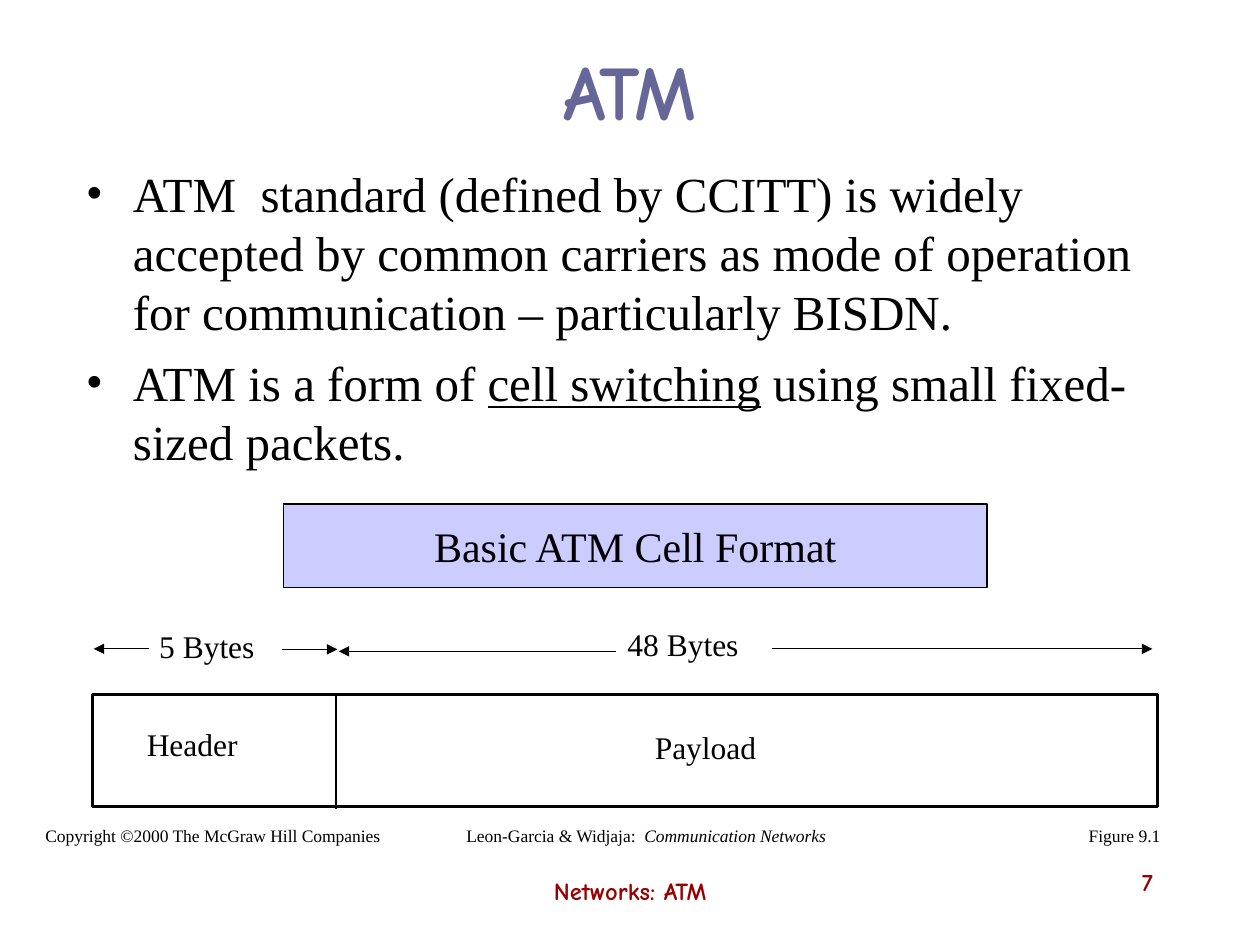
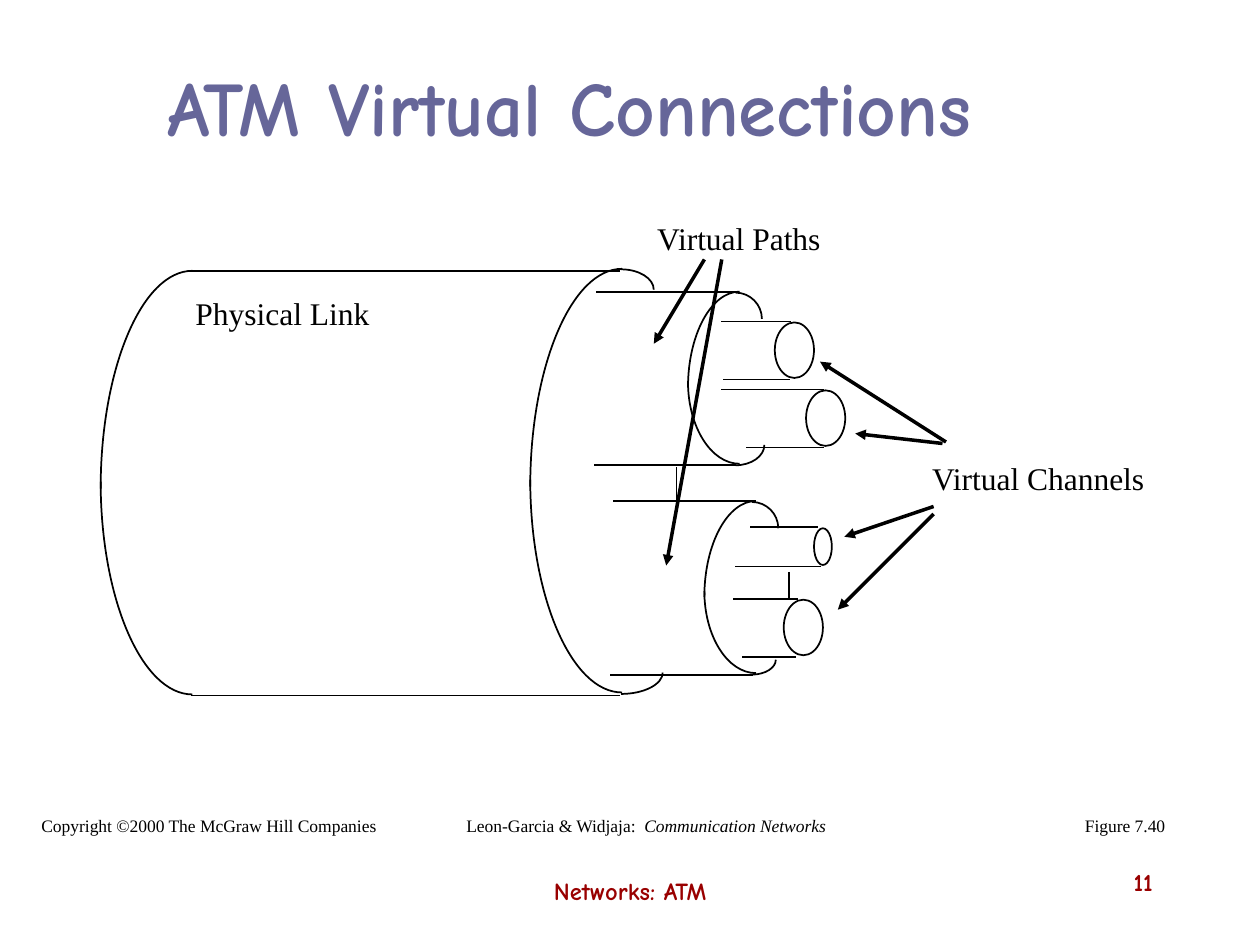
from lxml import etree
from pptx import Presentation
from pptx.dml.color import RGBColor
from pptx.enum.shapes import MSO_CONNECTOR, MSO_SHAPE
from pptx.enum.text import MSO_ANCHOR, PP_ALIGN
from pptx.oxml.ns import qn
from pptx.util import Cm, Pt

STRAIGHT = MSO_CONNECTOR.STRAIGHT
RECTANGLE, OVAL = MSO_SHAPE.RECTANGLE, MSO_SHAPE.OVAL
LEFT, CENTER, RIGHT = PP_ALIGN.LEFT, PP_ALIGN.CENTER, PP_ALIGN.RIGHT
TOP, MIDDLE = MSO_ANCHOR.TOP, MSO_ANCHOR.MIDDLE

BLACK, TITLE_BLUE, FOOTER_RED, BANNER_FILL = "000000", "666699", "990000", "CCCCFF"
SERIF, COMIC = "Times New Roman", "Comic Neue"
PADDING = (0.25, 0.13)
CURVE_PULL = 0.55  # Bezier handle length for a quarter ellipse


def color(hex_string):
    return RGBColor.from_string(hex_string)


def shifted(origin, x, y, *size):
    """Move a point or box from region coordinates to slide coordinates."""
    return (origin[0] + x, origin[1] + y, *size)


# Shared drawing helpers
def add_run(paragraph, text, size=18, font=SERIF, hex_string=BLACK,
            bold=False, italic=False, underline=False):
    run = paragraph.add_run()
    run.text = text
    run.font.size = Pt(size)
    run.font.name = font
    run.font.color.rgb = color(hex_string)
    run.font.bold, run.font.italic, run.font.underline = bold, italic, underline


def set_frame(frame, anchor=TOP, padding=PADDING, wrap=True):
    frame.word_wrap = wrap
    frame.vertical_anchor = anchor
    frame.margin_left = frame.margin_right = Cm(padding[0])
    frame.margin_top = frame.margin_bottom = Cm(padding[1])


def add_text(slide, box, runs, align=LEFT, **frame_options):
    """Add one paragraph made of (text, style) runs."""
    frame = slide.shapes.add_textbox(*map(Cm, box)).text_frame
    set_frame(frame, **frame_options)
    paragraph = frame.paragraphs[0]
    paragraph.alignment = align
    for text, style in runs:
        add_run(paragraph, text, **style)


def set_outline(shape, width):
    shape.line.color.rgb = color(BLACK)
    shape.line.width = Pt(width)


def add_outline_shape(slide, preset, box, width, fill=None):
    shape = slide.shapes.add_shape(preset, *map(Cm, box))
    shape.shadow.inherit = False
    if fill:
        shape.fill.solid()
        shape.fill.fore_color.rgb = color(fill)
    else:
        shape.fill.background()
    set_outline(shape, width)
    return shape


def add_line(slide, start, end, width=1, arrow=False):
    line = slide.shapes.add_connector(STRAIGHT, *map(Cm, (*start, *end)))
    set_outline(line, width)
    if arrow:
        etree.SubElement(line.line._get_or_add_ln(), qn("a:tailEnd"), type="triangle")
    etree.SubElement(line._element.spPr, qn("a:effectLst"))


def add_quarter_arc(slide, corner, box):
    """Draw the quarter of an ellipse that rounds one corner of the box."""
    left, top, width, height = map(Cm, box)
    outer_x, inner_x = (0, width) if "left" in corner else (width, 0)
    outer_y, inner_y = (0, height) if "top" in corner else (height, 0)
    builder = slide.shapes.build_freeform(left + outer_x, top + inner_y)
    builder.add_line_segments([(left + inner_x, top + outer_y)], close=False)
    arc = builder.convert_to_shape()
    # Bend the straight segment into a curve
    segment = arc._element.find(".//" + qn("a:lnTo"))
    segment.tag = qn("a:cubicBezTo")
    handles = [(outer_x, inner_y + CURVE_PULL * (outer_y - inner_y)),
               (inner_x + CURVE_PULL * (outer_x - inner_x), outer_y)]
    for index, (x, y) in enumerate(handles):
        handle = etree.Element(qn("a:pt"), x=str(round(x)), y=str(round(y)))
        segment.insert(index, handle)
    arc.shadow.inherit = False
    arc.fill.background()
    set_outline(arc, 1)


# Regions found on both slides
def add_title(slide, box, text):
    style = dict(size=44, font=COMIC, hex_string=TITLE_BLUE, bold=True)
    add_text(slide, box, [(text, style)], CENTER, anchor=MIDDLE)


def add_footer(slide, page_number):
    style = dict(size=14, font=COMIC, hex_string=FOOTER_RED, bold=True)
    add_text(slide, (8.68, 17.53, 8.05, 1.07), [("Networks: ATM", style)], CENTER)
    add_text(slide, (18.21, 17.35, 5.28, 1.27), [(page_number, style)], RIGHT)


def add_credits(slide, top, copyright_left, figure_left, figure_width, figure):
    small = dict(size=10)
    credits = [
        (copyright_left, 7.26, [("Copyright ©2000 The McGraw Hill Companies", small)]),
        (9.14, 7.77, [("Leon-Garcia & Widjaja:  ", small),
                      ("Communication Networks", dict(size=10, italic=True))]),
        (figure_left, figure_width, [(figure, small)]),
    ]
    for left, width, runs in credits:
        add_text(slide, (left, top, width, 0.69), runs, CENTER, anchor=MIDDLE, wrap=False)


# Regions of the cell format slide
def add_bullets(slide, box, items):
    frame = slide.shapes.add_textbox(*map(Cm, box)).text_frame
    set_frame(frame)
    for index, runs in enumerate(items):
        paragraph = frame.add_paragraph() if index else frame.paragraphs[0]
        if index:
            paragraph.space_before = Pt(7)
        properties = paragraph._p.get_or_add_pPr()
        properties.set("marL", str(Cm(0.95)))
        properties.set("indent", str(-Cm(0.95)))
        etree.SubElement(properties, qn("a:buFont"), typeface=SERIF)
        etree.SubElement(properties, qn("a:buChar"), char="•")
        for text, underline in runs:
            add_run(paragraph, text, size=28, underline=underline)


def add_banner(slide, box, text):
    banner = add_outline_shape(slide, RECTANGLE, box, 0.75, BANNER_FILL)
    set_frame(banner.text_frame, MIDDLE, wrap=False)
    paragraph = banner.text_frame.paragraphs[0]
    paragraph.alignment = CENTER
    add_run(paragraph, text, size=24)


def add_cell_diagram(slide, origin):
    # Cell with its header divider
    add_outline_shape(slide, RECTANGLE, shifted(origin, 0, 1.4, 21.46, 2.26), 1.5)
    add_line(slide, shifted(origin, 4.9, 1.37), shifted(origin, 4.9, 3.7), 1.5)
    # Field names and sizes
    for text, x, y, width in [("Header", 1.09, 2.02, 2.9), ("Payload", 11.33, 2.08, 3.63),
                              ("5 Bytes", 1.34, 0.05, 2.9), ("48 Bytes", 10.78, 0, 2.9)]:
        add_text(slide, shifted(origin, x, y, width, 0.76), [(text, {})], padding=(0, 0))
    # Size arrows
    for start, end, y in [(3.82, 4.93, 0.49), (1.13, 0.02, 0.48),
                          (10.55, 4.96, 0.53), (21.36, 13.69, 0.48)]:
        points = [shifted(origin, start, y), shifted(origin, end, y)]
        if start == 21.36:
            points.reverse()
        add_line(slide, *points, 0.75, True)


# Regions of the virtual connections slide
def add_edge(slide, origin, y, start, end):
    add_line(slide, shifted(origin, end, y), shifted(origin, start, y))


def add_left_rim(slide, origin, width, upper_height, lower_top, lower_height):
    add_quarter_arc(slide, "top left", shifted(origin, 0, 0, width, upper_height))
    add_quarter_arc(slide, "bottom left",
                    shifted(origin, 0, lower_top, width, lower_height))


def add_physical_link(slide, origin):
    for y in (0, 8.56):
        add_edge(slide, origin, y, 1.83, 10.46)
    for x, y in [(0, 0), (8.66, -0.04)]:
        add_left_rim(slide, shifted(origin, x, y), 1.85, 4.39, 4.25, 4.29)
    add_quarter_arc(slide, "top right", shifted(origin, 10.49, -0.03, 0.66, 0.41))
    add_quarter_arc(slide, "bottom right", shifted(origin, 10.49, 8.1, 0.84, 0.43))


def add_virtual_path(slide, origin, corner_width, corner_height):
    add_edge(slide, origin, 0, -1.85, 1.02)
    add_edge(slide, origin, 3.5, -1.9, 0.97)
    add_left_rim(slide, origin, 1.04, 1.93, 1.82, 1.65)
    add_quarter_arc(slide, "top right", shifted(origin, 0.96, 0.02, 0.53, 0.53))
    add_quarter_arc(slide, "bottom right", shifted(
        origin, 0.96, 3.5 - corner_height, corner_width, corner_height))


def add_virtual_channel(slide, origin, width, height, upper, lower):
    add_outline_shape(slide, OVAL, (*origin, width, height), 1)
    add_edge(slide, origin, -0.02, *upper)
    add_edge(slide, origin, height + 0.03, *lower)


def add_bundle_diagram(slide, origin):
    add_physical_link(slide, shifted(origin, 0, 1.17))
    # Two paths, each with two channels
    add_virtual_path(slide, shifted(origin, 11.84, 1.59), 0.58, 0.41)
    add_virtual_path(slide, shifted(origin, 12.17, 5.81), 0.48, 0.3)
    for x, y, *measures in [
            (13.59, 2.21, 0.79, 1.12, (-1.09, 0.33), (-1.04, 0.3)),
            (14.22, 3.58, 0.79, 1.12, (-1.72, 0.36), (-1.22, 0.36)),
            (14.38, 6.36, 0.36, 0.74, (-1.3, 0.07), (-1.6, 0.15)),
            (13.77, 7.8, 0.79, 1.12, (-1.02, 0.28), (-0.84, 0.25))]:
        add_virtual_channel(slide, shifted(origin, x, y), *measures)
    # Gaps between paths and between channels
    for x, upper, lower in [(11.61, 5.13, 5.79), (13.87, 7.24, 7.77)]:
        add_line(slide, shifted(origin, x, upper), shifted(origin, x, lower))
    # Labels and their arrows
    for text, x, y, width in [("Physical Link", 1.66, 1.51, 4.01),
                              ("Virtual Paths", 10.97, 0, 3.84),
                              ("Virtual Channels", 16.51, 4.83, 4.83)]:
        add_text(slide, shifted(origin, x, y, width, 1.02), [(text, {})], wrap=False)
    for start, end in [((12.17, 0.94), (11.15, 2.64)), ((12.52, 0.94), (11.4, 7.11)),
                       ((17.04, 4.62), (14.5, 3)), ((16.97, 4.65), (15.21, 4.45)),
                       ((16.79, 5.92), (14.99, 6.53)), ((16.79, 6.07), (14.86, 8))]:
        add_line(slide, shifted(origin, *start), shifted(origin, *end), 2, True)


# Slides
def build_cell_format_slide(slide):
    add_title(slide, (1.9, 0.64, 21.59, 2.34), "ATM")
    add_bullets(slide, (1.48, 3.17, 22.43, 6.99), [
        [("ATM  standard (defined by CCITT) is widely accepted by common carriers "
          "as mode of operation for communication – particularly BISDN.", False)],
        [("ATM is a form of ", False), ("cell switching", True),
         (" using small fixed-sized packets.", False)],
    ])
    add_banner(slide, (5.72, 10.16, 14.18, 1.69), "Basic ATM Cell Format")
    add_cell_diagram(slide, (1.87, 12.6))
    add_credits(slide, 16.5, 0.66, 21.69, 1.96, "Figure 9.1")
    add_footer(slide, "7")


def build_virtual_connections_slide(slide):
    add_title(slide, (0.5, 0.53, 21.98, 3.2), "ATM Virtual Connections")
    add_bundle_diagram(slide, (2.03, 4.29))
    add_credits(slide, 16.3, 0.58, 21.6, 2.16, "Figure 7.40")
    add_footer(slide, "11")


def main():
    presentation = Presentation()
    presentation.slide_width, presentation.slide_height = Cm(25.4), Cm(19.05)
    blank = presentation.slide_layouts[6]
    for build in (build_cell_format_slide, build_virtual_connections_slide):
        build(presentation.slides.add_slide(blank))
    presentation.save("out.pptx")


if __name__ == "__main__":
    main()
